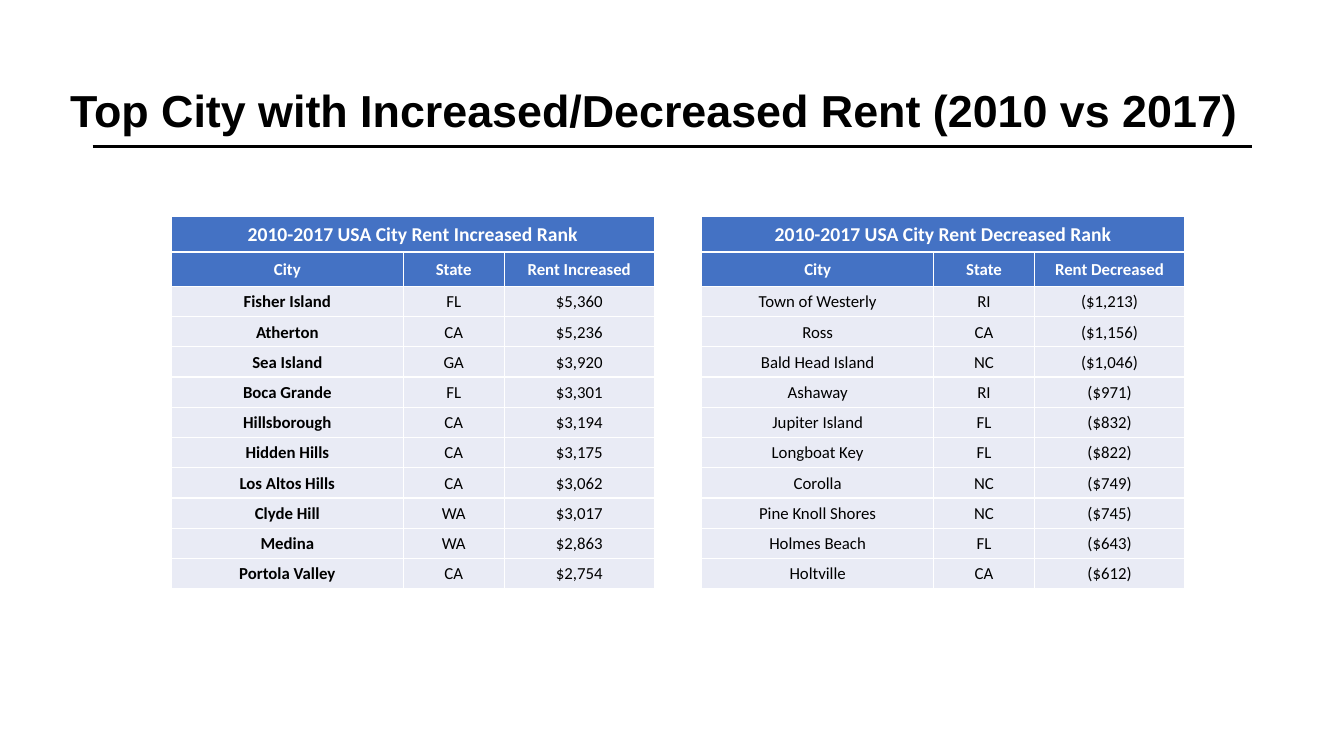
from dataclasses import dataclass

from lxml import etree
from pptx import Presentation
from pptx.dml.color import RGBColor
from pptx.enum.shapes import MSO_CONNECTOR
from pptx.enum.text import MSO_ANCHOR, MSO_AUTO_SIZE, PP_ALIGN
from pptx.oxml.ns import qn
from pptx.util import Inches, Pt

CENTER = PP_ALIGN.CENTER
MIDDLE = MSO_ANCHOR.MIDDLE
NO_AUTOFIT = MSO_AUTO_SIZE.NONE
STRAIGHT = MSO_CONNECTOR.STRAIGHT
TITLE_ONLY = 5


@dataclass(frozen=True)
class Theme:
    ink: str = "000000"
    paper: str = "FFFFFF"
    header: str = "4472C4"
    band: str = "E9EBF5"
    title_font: str = "Arial"
    table_font: str = "Calibri"
    title_size: float = 32
    caption_size: float = 14
    cell_size: float = 12
    rule_width: float = 2.25
    border_width: float = 1


class SlideBuilder:
    def __init__(self, page, theme):
        self.page = page
        self.theme = theme

    def add_text(self, frame, text, font, size, color, bold, spacing):
        para = frame.paragraphs[0]
        para.alignment = CENTER
        para.line_spacing = spacing
        span = para.add_run()
        span.text = text
        span.font.name = font
        span.font.size = Pt(size)
        span.font.bold = bold
        span.font.color.rgb = RGBColor.from_string(color)

    def title(self, text, left, top, width, height):
        box = self.page.shapes.title
        box.left, box.top = Inches(left), Inches(top)
        box.width, box.height = Inches(width), Inches(height)
        frame = box.text_frame
        frame.word_wrap = True
        frame.auto_size = NO_AUTOFIT
        frame.vertical_anchor = MIDDLE
        self.add_text(frame, text, self.theme.title_font,
                      self.theme.title_size, self.theme.ink, True, 0.9)

    def rule(self, left, right, y):
        line = self.page.shapes.add_connector(
            STRAIGHT, Inches(left), Inches(y), Inches(right), Inches(y))
        line.line.color.rgb = RGBColor.from_string(self.theme.ink)
        line.line.width = Pt(self.theme.rule_width)
        etree.SubElement(line._element.spPr, qn("a:effectLst"))

    def borders(self, cell):
        properties = cell._tc.get_or_add_tcPr()
        for side in ("lnL", "lnR", "lnT", "lnB"):
            edge = etree.SubElement(properties, qn(f"a:{side}"),
                                    w=str(Pt(self.theme.border_width)))
            fill = etree.SubElement(edge, qn("a:solidFill"))
            etree.SubElement(fill, qn("a:srgbClr"), val=self.theme.paper)

    def cell(self, cell, text, size, color, fill, bold):
        cell.margin_left = cell.margin_right = Inches(0.03)
        cell.margin_top = cell.margin_bottom = Inches(0.03)
        cell.vertical_anchor = MIDDLE
        self.borders(cell)
        cell.fill.solid()
        cell.fill.fore_color.rgb = RGBColor.from_string(fill)
        if text:
            self.add_text(cell.text_frame, text, self.theme.table_font, size,
                          color, bold, 1.07)

    def rank_table(self, left, top, caption, headings, cities, bold_city):
        theme = self.theme
        widths = (2.3, 1, 1.49)
        heights = [0.35, 0.34] + [0.3] * len(cities)
        table = self.page.shapes.add_table(
            len(heights), len(widths), Inches(left), Inches(top),
            Inches(sum(widths)), Inches(sum(heights))).table
        for column, width in zip(table.columns, widths):
            column.width = Inches(width)
        for row, height in zip(table.rows, heights):
            row.height = Inches(height)
        for r, values in enumerate([(caption, "", ""), headings, *cities]):
            is_header = r < 2
            size = theme.caption_size if r == 0 else theme.cell_size
            color = theme.paper if is_header else theme.ink
            fill = theme.header if is_header else theme.band
            for c, value in enumerate(values):
                bold = is_header or (bold_city and c == 0)
                self.cell(table.cell(r, c), value, size, color, fill, bold)
        table.cell(0, 0).merge(table.cell(0, len(widths) - 1))


INCREASED = [
    ("Fisher Island", "FL", "$5,360"),
    ("Atherton", "CA", "$5,236"),
    ("Sea Island", "GA", "$3,920"),
    ("Boca Grande", "FL", "$3,301"),
    ("Hillsborough", "CA", "$3,194"),
    ("Hidden Hills", "CA", "$3,175"),
    ("Los Altos Hills", "CA", "$3,062"),
    ("Clyde Hill", "WA", "$3,017"),
    ("Medina", "WA", "$2,863"),
    ("Portola Valley", "CA", "$2,754"),
]
DECREASED = [
    ("Town of Westerly", "RI", "($1,213)"),
    ("Ross", "CA", "($1,156)"),
    ("Bald Head Island", "NC", "($1,046)"),
    ("Ashaway", "RI", "($971)"),
    ("Jupiter Island", "FL", "($832)"),
    ("Longboat Key", "FL", "($822)"),
    ("Corolla", "NC", "($749)"),
    ("Pine Knoll Shores", "NC", "($745)"),
    ("Holmes Beach", "FL", "($643)"),
    ("Holtville", "CA", "($612)"),
]

deck = Presentation()
deck.slide_width, deck.slide_height = Inches(13.33), Inches(7.5)
page = deck.slides.add_slide(deck.slide_layouts[TITLE_ONLY])
builder = SlideBuilder(page, Theme())

builder.title("Top City with Increased/Decreased Rent (2010 vs 2017)",
              0.57, 0.4, 11.84, 1.45)
builder.rule(0.92, 12.42, 1.45)
for left, trend, cities, bold_city in (
        (1.7, "Increased", INCREASED, True),
        (6.96, "Decreased", DECREASED, False)):
    builder.rank_table(left, 2.15, f"2010-2017 USA City Rent {trend} Rank",
                       ("City", "State", f"Rent {trend}"), cities, bold_city)

deck.save("out.pptx")
